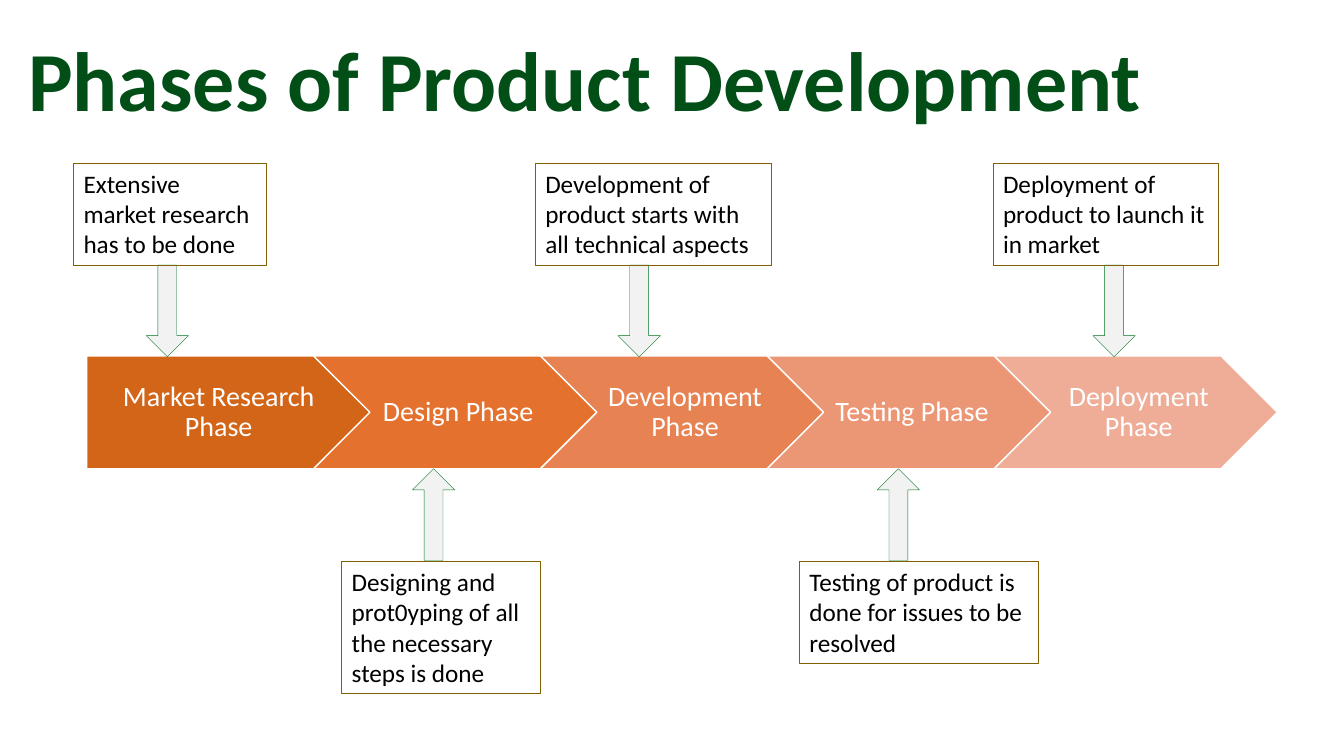
from pptx import Presentation
from pptx.dml.color import RGBColor
from pptx.enum.shapes import MSO_SHAPE as SHAPE
from pptx.enum.text import MSO_ANCHOR as ANCHOR, PP_ALIGN as ALIGN
from pptx.util import Inches, Pt

FONT = "Calibri"
BAND_TOP, BAND_HEIGHT = 3.53, 1.12
ARROW_WIDTH, ARROW_HEIGHT = 0.42, 0.91

# Phase, fill, note, note left, note width, note height, arrow left
PHASES = [
    ("Market Research Phase", "D36519", "Extensive market research has to be done", 0.73, 1.91, 1.01, 1.45),
    ("Design Phase", "E5712E", "Designing and prot0yping of all the necessary steps is done", 3.39, 1.97, 1.31, 4.09),
    ("Development Phase", "E78252", "Development of product starts with all technical aspects", 5.31, 2.34, 1.01, 6.13),
    ("Testing Phase", "EB9675", "Testing of product is done for issues to be resolved", 7.93, 2.37, 1.01, 8.7),
    ("Deployment Phase", "EFAD98", "Deployment of product to launch it in market", 9.85, 2.24, 1.01, 10.84),
]


def rgb(color):
    """Return the colour of a hex string."""
    return RGBColor.from_string(color)


def write(sp, text, size, color, align, anchor, insets, bold=False, spacing=1.0):
    """Write one formatted paragraph into a shape."""
    tf = sp.text_frame
    tf.word_wrap = True
    tf.vertical_anchor = anchor
    tf.margin_left, tf.margin_top, tf.margin_right, tf.margin_bottom = map(Inches, insets)
    p = tf.paragraphs[0]
    p.text = text
    p.alignment = align
    p.line_spacing = spacing
    p.font.name, p.font.size, p.font.bold = FONT, Pt(size), bold
    p.font.color.rgb = rgb(color)


def add_shape(s, kind, box, fill, line, width):
    """Add a preset shape without a shadow."""
    sp = s.shapes.add_shape(kind, *map(Inches, box))
    sp.shadow.inherit = False
    if fill:
        sp.fill.solid()
        sp.fill.fore_color.rgb = rgb(fill)
    else:
        sp.fill.background()
    sp.line.color.rgb = rgb(line)
    sp.line.width = Pt(width)
    return sp


def add_title(s, left, top, width, height):
    """Place and format the slide title."""
    sp = s.shapes.title
    sp.left, sp.top, sp.width, sp.height = map(Inches, (left, top, width, height))
    write(sp, "Phases of Product Development", 60, "014E17", ALIGN.LEFT,
          ANCHOR.TOP, (0, 0, 0, 0), bold=True, spacing=0.9)


def add_band(s, left, top, width, height):
    """Draw the row of phases, each overlapping the last by its point."""
    point = height / 2
    step = (width - point) / len(PHASES)
    for i, (name, fill, *_) in enumerate(PHASES):
        kind = SHAPE.CHEVRON if i else SHAPE.PENTAGON
        sp = add_shape(s, kind, (left + i * step, top, step + point, height), fill, "FFFFFF", 1)
        sp.adjustments[0] = 0.5
        write(sp, name, 20, "FFFFFF", ALIGN.CENTER, ANCHOR.MIDDLE,
              (0.09 if i else 0.12, 0.06, 0.03, 0.06), spacing=0.9)


def add_note(s, text, left, width, height, arrow_left, above):
    """Draw a note above or below the band and the arrow from it."""
    bottom = BAND_TOP + BAND_HEIGHT
    arrow_top = BAND_TOP + 0.01 - ARROW_HEIGHT if above else bottom
    top = arrow_top - height if above else bottom + ARROW_HEIGHT + 0.01
    arrow = add_shape(s, SHAPE.DOWN_ARROW, (arrow_left, arrow_top, ARROW_WIDTH, ARROW_HEIGHT),
                      "F2F2F2", "017321", 0.25)
    arrow.adjustments[0], arrow.adjustments[1] = 0.447, 0.5
    arrow.rotation = 0 if above else 180
    sp = add_shape(s, SHAPE.RECTANGLE, (left, top, width, height), None, "806000", 0.75)
    write(sp, text, 18, "000000", ALIGN.LEFT, ANCHOR.TOP, (0.1, 0.05, 0.1, 0.05))


def main():
    """Build and save the slide."""
    prs = Presentation()
    prs.slide_width, prs.slide_height = Inches(13.33), Inches(7.5)
    s = prs.slides.add_slide(prs.slide_layouts[5])
    add_title(s, 0.28, 0.39, 12.26, 1.09)
    add_band(s, 0.86, BAND_TOP, 11.81, BAND_HEIGHT)
    for i, (_, _, text, left, width, height, arrow_left) in enumerate(PHASES):
        add_note(s, text, left, width, height, arrow_left, above=i % 2 == 0)
    prs.save("out.pptx")


if __name__ == "__main__":
    main()
